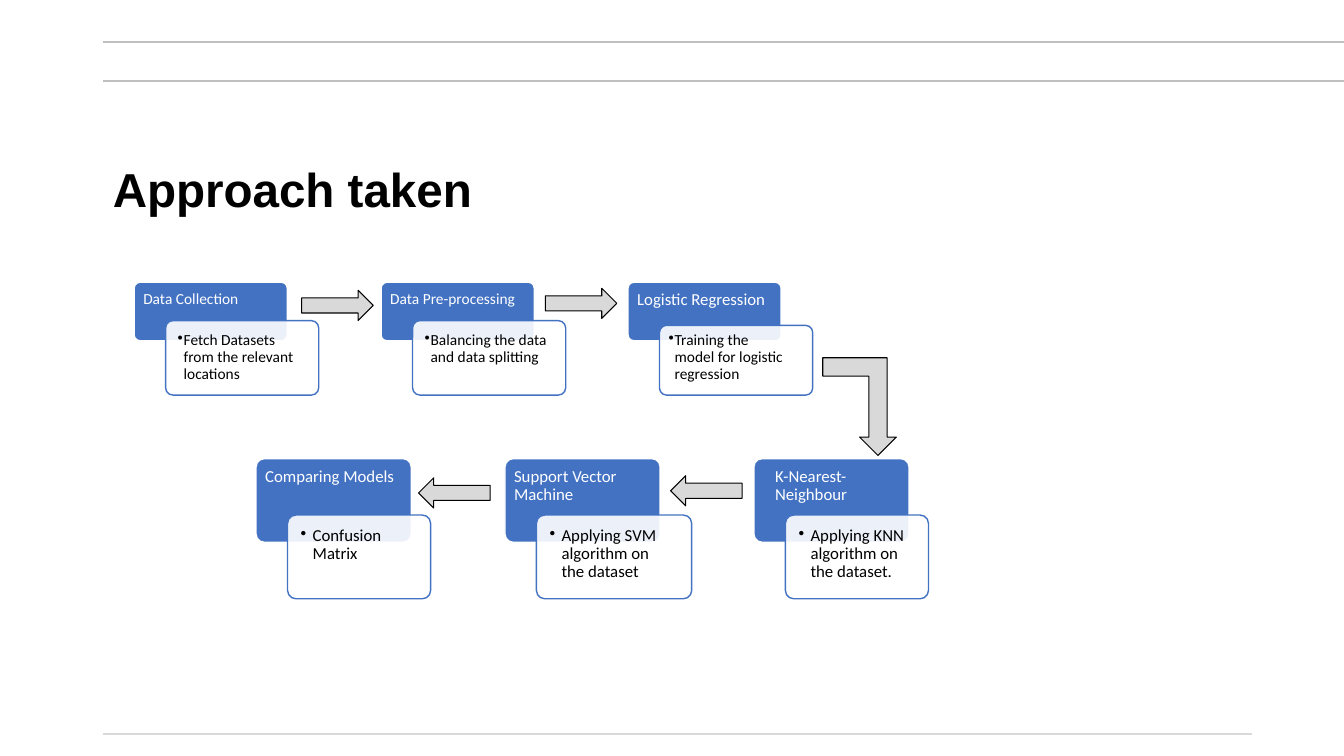
"""Build the "Approach taken" slide: six model steps linked by arrows."""
import pptx
import pptx.dml.color
import pptx.enum.shapes
import pptx.enum.text
import pptx.oxml
import pptx.util

Pt = pptx.util.Pt
SHAPE = pptx.enum.shapes.MSO_SHAPE
ANCHOR = pptx.enum.text.MSO_ANCHOR
BLUE, WHITE, BLACK, GREY = "4372C3", "FFFFFF", "000000", "D9D9D9"

TITLE = "Approach taken"
RULES = [(73.4, 57.6, 960, "BFBFBF"), (73.4, 30.2, 960, "BFBFBF"), (73.4, 524.2, 894.2, GREY)]

TOP_ROW = dict(left=95.8, top=201.6, pitch=176.4, head=(109.4, 41.8), bottom=282.2,
               hang=(4.3, -5.8), body_size=11)
LOW_ROW = dict(left=182.9, top=327.6, pitch=177.8, head=(110.9, 59.8), bottom=427.7,
               hang=(8.6, -8.6), body_size=12)
BODY_SHIFT = 22.5

STEPS = [
    (TOP_ROW, 0, dict(text="Data Collection", size=11, pad=6.5),
     dict(text="Fetch Datasets from the relevant locations", top=229, width=109.4, pad=(8.6, 8.6, 8))),
    (TOP_ROW, 1, dict(text="Data Pre-processing", size=11, pad=6.5),
     dict(text="Balancing the data and data splitting", top=229, width=109.4, pad=(8.6, 8.6, 8))),
    (TOP_ROW, 2, dict(text="Logistic Regression", size=12, pad=6.5),
     dict(text="Training the model for logistic regression", top=232.4, width=109.4, pad=(6.5, 5.2, 15.8))),
    (LOW_ROW, 2, dict(text="K-Nearest-\nNeighbour", size=12, pad=15.1),
     dict(text="Applying KNN algorithm on the dataset.", top=367.9, width=102.2, pad=(9.4, 8.6, 12.2))),
    (LOW_ROW, 1, dict(text="Support Vector Machine", size=12, pad=6.5),
     dict(text="Applying SVM algorithm on the dataset", top=367.9, width=110.9, pad=(9.4, 8.6, 20.9))),
    (LOW_ROW, 0, dict(text="Comparing Models", size=12, pad=6.5),
     dict(text="Confusion Matrix", top=367.9, width=102.2, pad=(9.4, 8.6, 12.2))),
]

ARROWS = [
    (SHAPE.RIGHT_ARROW, 215.5, 207.4, 51.1, 21.6),
    (SHAPE.RIGHT_ARROW, 389.5, 205.9, 51.1, 21.6),
    (SHAPE.BENT_UP_ARROW, 587.7, 255.6, 52.6, 69.8),
    (SHAPE.LEFT_ARROW, 479, 339.8, 51.1, 21.6),
    (SHAPE.LEFT_ARROW, 299, 341.3, 51.1, 21.6),
]


def rgb(value):
    """Return the colour for a hex string."""
    return pptx.dml.color.RGBColor.from_string(value)


def apply(target, **values):
    """Set every given attribute on the target."""
    for name, value in values.items():
        setattr(target, name, value)


def add_child(parent, tag, **attributes):
    """Append a DrawingML element with the given attributes."""
    child = pptx.oxml.parse_xml(f'<a:{tag} xmlns:a="http://schemas.openxmlformats.org/drawingml/2006/main"/>')
    for name, value in attributes.items():
        child.set(name, str(value))
    parent.append(child)
    return child


def add_shape(kind, box, fill, line, weight):
    """Add a filled and outlined shape without a shadow."""
    s = slide.shapes.add_shape(kind, *map(Pt, box))
    s.shadow.inherit = False
    s.fill.solid()
    s.fill.fore_color.rgb = rgb(fill)
    s.line.color.rgb = rgb(line)
    s.line.width = Pt(weight)
    return s


def add_card(box, fill, line, text, size, colour, pad, hang=None):
    """Add a rounded card with top-left text, bulleted when hang is given."""
    s = add_shape(SHAPE.ROUNDED_RECTANGLE, box, fill, line, 1)
    s.adjustments[0] = 0.1
    corner = 0.029 * min(box[2:])
    left, top, right = (Pt(side - corner) for side in pad)
    tf = s.text_frame
    tf.text = text
    apply(tf, word_wrap=True, vertical_anchor=ANCHOR.TOP, margin_left=left,
          margin_top=top, margin_right=right, margin_bottom=0)
    for p in tf.paragraphs:
        apply(p, alignment=pptx.enum.text.PP_ALIGN.LEFT, line_spacing=0.9)
        apply(p.runs[0].font, size=Pt(size), name="Calibri")
        p.runs[0].font.color.rgb = rgb(colour)
        if hang:
            props = p._p.get_or_add_pPr()
            props.set("marL", str(Pt(hang[0])))
            props.set("indent", str(Pt(hang[1])))
            add_child(props, "buChar", char="•")
    return s


prs = pptx.Presentation()
apply(prs, slide_width=Pt(960), slide_height=Pt(540))
slide = prs.slides.add_slide(prs.slide_layouts[5])

for start, y, end, colour in RULES:
    rule = slide.shapes.add_connector(pptx.enum.shapes.MSO_CONNECTOR.STRAIGHT, *map(Pt, (start, y, end, y)))
    rule.line.color.rgb = rgb(colour)
    rule.line.width = Pt(1.5)
    add_child(rule._element.spPr, "effectLst")

title = slide.shapes.title
title.text = TITLE
apply(title, left=Pt(73.4), top=Pt(92.2), width=Pt(820), height=Pt(90))
title.text_frame.vertical_anchor = ANCHOR.MIDDLE
p = title.text_frame.paragraphs[0]
apply(p, alignment=pptx.enum.text.PP_ALIGN.LEFT, line_spacing=0.9)
apply(p.runs[0].font, size=Pt(34), name="Arial", bold=True)
p.runs[0].font.color.rgb = rgb(BLACK)

for row, column, head, body in STEPS:
    x = row["left"] + column * row["pitch"]
    add_card((x, row["top"], *row["head"]), BLUE, WHITE, head["text"], head["size"], WHITE,
             (head["pad"], 6.5, 6.5))
    box = (x + BODY_SHIFT, body["top"], body["width"], row["bottom"] - body["top"])
    card = add_card(box, WHITE, BLUE, body["text"], row["body_size"], BLACK, body["pad"], row["hang"])
    add_child(card.fill._xPr.solidFill[0], "alpha", val=90000)

for kind, *box in ARROWS:
    arrow = add_shape(kind, box, GREY, BLACK, 0.75)
    if kind == SHAPE.BENT_UP_ARROW:
        arrow._element.spPr.xfrm.set("flipV", "1")

prs.save("out.pptx")
